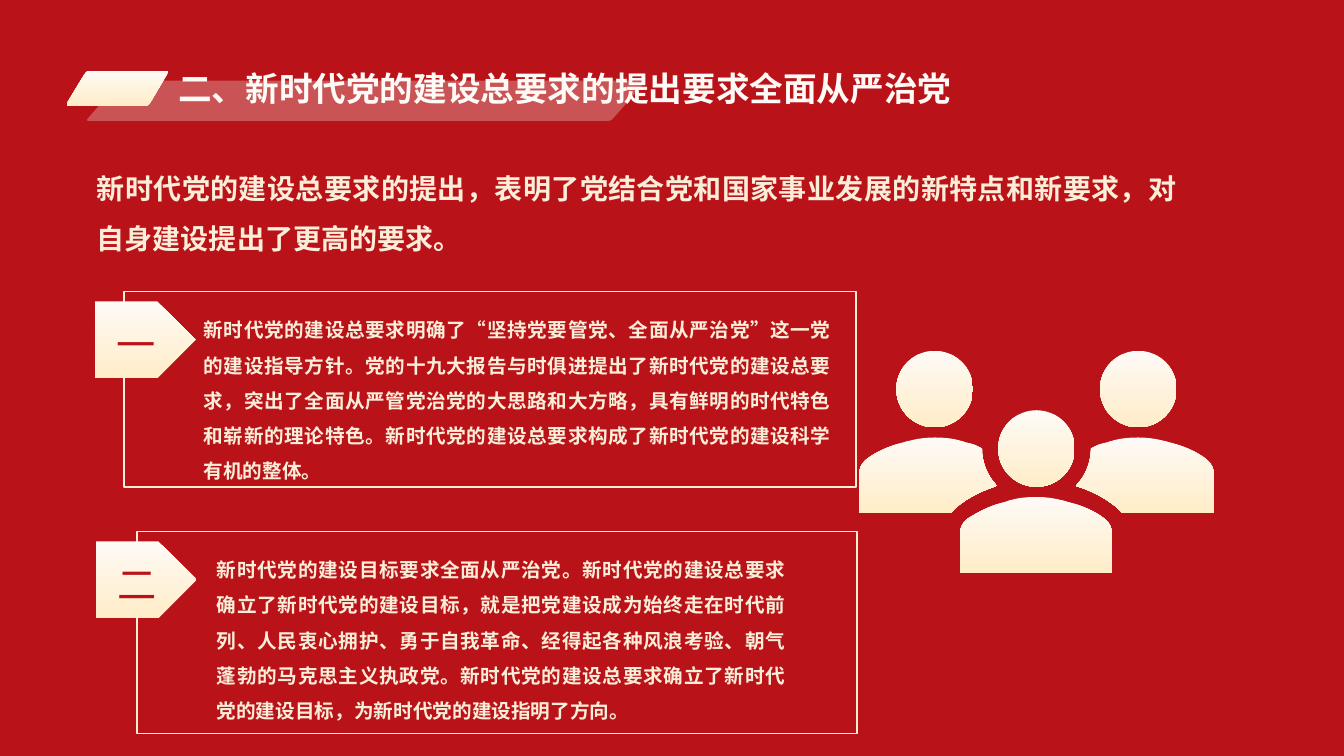
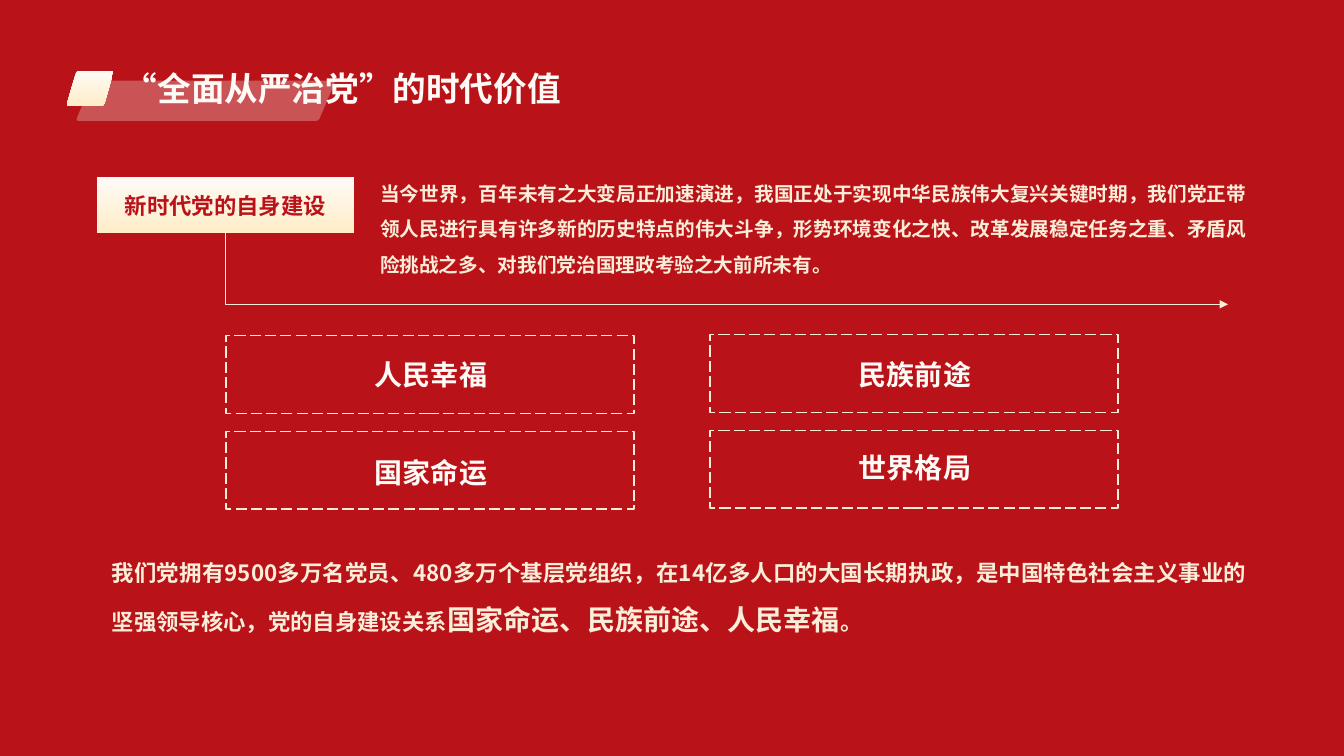
from dataclasses import dataclass

from lxml.etree import SubElement
from pptx import Presentation
from pptx.dml.color import RGBColor as Rgb
from pptx.enum.dml import MSO_LINE_DASH_STYLE as Dash
from pptx.enum.shapes import MSO_CONNECTOR as Connector, MSO_SHAPE as Preset
from pptx.enum.text import MSO_AUTO_SIZE as AutoSize, PP_ALIGN as Align
from pptx.oxml.ns import qn
from pptx.util import Inches, Pt


@dataclass(frozen=True)
class Theme:
    red: str = "BA1219"
    white: str = "FEFAF6"
    gold: str = "FFEDC8"
    cream: str = "FAEED8"
    veil: str = "EEECE1"
    font: str = "Noto Sans CJK SC"
    title: int = 24
    numeral: int = 28
    lead: int = 20
    label: int = 16
    body: int = 14
    leading: float = 1.5
    line: int = 1


THEME = Theme()

# The slide is a grid of one-inch columns and rows
COLUMNS, ROWS = 13.33, 7.5

# Content: a slanted tab is (left, width, slant)
GOAL = {
    "title": "二、新时代党的建设总要求的提出要求全面从严治党",
    "title_box": (1.67, 0.62, 10.07, 0.5),
    "veil_tab": (0.85, 5.56, 0.35),
    "gold_tab": (0.65, 1.03, 0.21),
    "lead": "新时代党的建设总要求的提出，表明了党结合党和国家事业发展的新特点和新要求，对自身建设提出了更高的要求。",
    "lead_box": (0.96, 1.53, 10.71, 1.01),
    "points": [
        {
            "numeral": "一",
            "frame": (1.23, 2.89, 7.26, 1.94),
            "tag_left": 0.94,
            "text_box": (2.02, 3.04, 6.22, 1.77),
            "text": "新时代党的建设总要求明确了“坚持党要管党、全面从严治党”这一党的建设指导方针。"
                    "党的十九大报告与时俱进提出了新时代党的建设总要求，突出了全面从严管党治党的大思路和大方略，"
                    "具有鲜明的时代特色和崭新的理论特色。新时代党的建设总要求构成了新时代党的建设科学有机的整体。",
        },
        {
            "numeral": "二",
            "frame": (1.36, 5.27, 7.14, 2.01),
            "tag_left": 0.95,
            "text_box": (2.15, 5.42, 5.64, 1.77),
            "text": "新时代党的建设目标要求全面从严治党。新时代党的建设总要求确立了新时代党的建设目标，"
                    "就是把党建设成为始终走在时代前列、人民衷心拥护、勇于自我革命、经得起各种风浪考验、"
                    "朝气蓬勃的马克思主义执政党。新时代党的建设总要求确立了新时代党的建设目标，"
                    "为新时代党的建设指明了方向。",
        },
    ],
}
VALUE = {
    "title": "“全面从严治党”的时代价值",
    "title_box": (1.13, 0.62, 6.31, 0.5),
    "veil_tab": (0.75, 2.58, 0.17),
    "gold_tab": (0.66, 0.47, 0.1),
    "label": "新时代党的自身建设",
    "label_box": (0.96, 1.76, 2.55, 0.55),
    "text": "当今世界，百年未有之大变局正加速演进，我国正处于实现中华民族伟大复兴关键时期，"
            "我们党正带领人民进行具有许多新的历史特点的伟大斗争，形势环境变化之快、改革发展稳定任务之重、"
            "矛盾风险挑战之多、对我们党治国理政考验之大前所未有。",
    "text_box": (3.77, 1.69, 8.6, 1.02),
    "arrow": (2.24, 2.31, 12.18, 3.02),
    # Each stake: text, drop of the text below the top of its box
    "stakes": [[("人民幸福", 0.17), ("民族前途", 0.18)],
               [("国家命运", 0.19), ("世界格局", 0.15)]],
    "closing": [
        ("我们党拥有9500多万名党员、480多万个基层党组织，在14亿多人口的大国长期执政，"
         "是中国特色社会主义事业的坚强领导核心，党的自身建设关系", THEME.label),
        ("国家命运、民族前途、人民幸福", THEME.lead),
        ("。", THEME.label),
    ],
    "closing_box": (1.11, 5.41, 11.26, 0.87),
}

# People icon: offsets from its centre column; two numbers are a corner, six a curve
PEOPLE_CENTRE, PEOPLE_TOP, HEAD = 10.28, 3.48, 0.76
HEADS = [(-1.01, 0), (1.01, 0), (0, 0.59)]
FRONT_BUST = [
    (0.75, 2.2), (0.75, 1.82), (0.75, 1.77, 0.73, 1.71, 0.68, 1.67),
    (0.58, 1.59, 0.44, 1.53, 0.31, 1.5), (0.22, 1.47, 0.11, 1.45, 0, 1.45),
    (-0.1, 1.45, -0.21, 1.46, -0.31, 1.5), (-0.45, 1.53, -0.58, 1.6, -0.69, 1.67),
    (-0.74, 1.71, -0.76, 1.77, -0.76, 1.82), (-0.76, 2.2),
]
SIDE_BUST = [
    (1.69, 1.08), (1.59, 1, 1.45, 0.94, 1.32, 0.91), (1.23, 0.88, 1.12, 0.86, 1.01, 0.86),
    (0.91, 0.86, 0.8, 0.87, 0.7, 0.91), (0.64, 0.92, 0.59, 0.94, 0.54, 0.97),
    (0.54, 1.12, 0.48, 1.25, 0.39, 1.34), (0.55, 1.39, 0.68, 1.46, 0.78, 1.54),
    (0.8, 1.56, 0.83, 1.58, 0.85, 1.61), (1.76, 1.61), (1.76, 1.23),
    (1.76, 1.18, 1.74, 1.12, 1.69, 1.08),
]


def color(value):
    return Rgb.from_string(value)


def paint_plain(shape, tone):
    shape.shadow.inherit = False
    shape.line.fill.background()
    shape.fill.solid()
    shape.fill.fore_color.rgb = color(tone)


def paint_gold(shape):
    shape.shadow.inherit = False
    shape.line.fill.background()
    shape.fill.gradient()
    shape.fill.gradient_angle = 270
    for stop, tone in zip(shape.fill.gradient_stops, (THEME.white, THEME.gold)):
        stop.color.rgb = color(tone)


def paint_frame(shape, dash=None):
    shape.shadow.inherit = False
    shape.fill.background()
    shape.line.color.rgb = color(THEME.cream)
    shape.line.width = Pt(THEME.line)
    if dash:
        shape.line.dash_style = dash


def add_preset(slide, preset, box):
    return slide.shapes.add_shape(preset, *map(Inches, box))


def write(shape, runs, size, tone, bold=True, align=Align.JUSTIFY, leading=None, inset=True):
    """Fill a shape with one paragraph; runs is a string or (text, size) pairs."""
    frame = shape.text_frame
    frame.word_wrap = True
    if not inset:
        frame.margin_left = frame.margin_right = frame.margin_top = frame.margin_bottom = 0
    paragraph = frame.paragraphs[0]
    paragraph.alignment = align
    if leading:
        paragraph.line_spacing = leading
    font = paragraph.font
    font.size, font.bold, font.name = Pt(size), bold, THEME.font
    font.color.rgb = color(tone)
    SubElement(font._element, qn("a:ea")).set("typeface", THEME.font)
    if isinstance(runs, str):
        paragraph.add_run().text = runs
        return
    for text, run_size in runs:
        run = paragraph.add_run()
        run.text = text
        run.font.size = Pt(run_size)


def add_text(slide, box, runs, size, tone=THEME.cream, **style):
    text_box = slide.shapes.add_textbox(*map(Inches, box))
    write(text_box, runs, size, tone, **style)
    text_box.text_frame.auto_size = AutoSize.SHAPE_TO_FIT_TEXT
    return text_box


def add_body(slide, box, runs, size):
    add_text(slide, box, runs, size, leading=THEME.leading, inset=False)


def add_outline(slide, segments):
    """Draw a closed outline of corners and cubic curves."""
    points = [(Inches(segment[i]), Inches(segment[i + 1]))
              for segment in segments for i in range(0, len(segment), 2)]
    builder = slide.shapes.build_freeform(*points[0])
    builder.add_line_segments(points[1:], close=True)
    shape = builder.convert_to_shape()
    # Join the three lines of each curve into one cubic segment
    lines = iter(list(shape.element.spPr.iter(qn("a:lnTo"))))
    for segment in segments[1:]:
        line = next(lines)
        if len(segment) == 6:
            line.tag = qn("a:cubicBezTo")
            for _ in range(2):
                extra = next(lines)
                line.append(extra[0])
                extra.getparent().remove(extra)
    return shape


def add_tab(slide, tab, top, bottom, radius=0.06):
    """Slanted tab with rounded corners."""
    left, width, slant = tab
    right = left + width
    corners = [(left, bottom), (left + slant, top), (right, top), (right - slant, bottom)]

    def toward(start, end):
        length = ((end[0] - start[0]) ** 2 + (end[1] - start[1]) ** 2) ** 0.5
        return tuple(a + (b - a) * radius / length for a, b in zip(start, end))

    segments = []
    for index, corner in enumerate(corners):
        segments.append(toward(corner, corners[index - 1]))
        segments.append((*corner, *corner, *toward(corner, corners[(index + 1) % 4])))
    return add_outline(slide, segments)


def add_heading(slide, content):
    veil = add_tab(slide, content["veil_tab"], 0.8, 1.2)
    paint_plain(veil, THEME.veil)
    tint = veil.element.spPr.find(".//" + qn("a:srgbClr"))
    SubElement(tint, qn("a:alpha")).set("val", "30000")
    paint_gold(add_tab(slide, content["gold_tab"], 0.7, 1.05))
    add_text(slide, content["title_box"], content["title"], THEME.title, THEME.white)


def add_point(slide, point):
    top, tag_left = point["frame"][1], point["tag_left"]
    paint_frame(add_preset(slide, Preset.RECTANGLE, point["frame"]))
    add_body(slide, point["text_box"], point["text"], THEME.body)
    paint_gold(add_preset(slide, Preset.PENTAGON, (tag_left, top + 0.1, 1, 0.76)))
    add_text(slide, (tag_left + 0.12, top + 0.19, 0.56, 0.62), point["numeral"],
             THEME.numeral, THEME.red, bold=False, align=Align.CENTER, leading=1.1)


def add_people(slide):
    for offset, drop in HEADS:
        box = (PEOPLE_CENTRE + offset - HEAD / 2, PEOPLE_TOP + drop, HEAD, HEAD)
        paint_gold(add_preset(slide, Preset.OVAL, box))
    for bust, side in ((FRONT_BUST, 1), (SIDE_BUST, 1), (SIDE_BUST, -1)):
        segments = [tuple(PEOPLE_TOP + value if index % 2 else PEOPLE_CENTRE + side * value
                          for index, value in enumerate(segment)) for segment in bust]
        paint_gold(add_outline(slide, segments))


def add_corner_arrow(slide, start_x, start_y, end_x, end_y):
    """Elbow that runs down, then right: a one-bend connector turned by 270 degrees."""
    width, height = end_y - start_y, end_x - start_x
    left, top = (start_x + end_x - width) / 2, (start_y + end_y - height) / 2
    arrow = slide.shapes.add_connector(
        Connector.ELBOW, *map(Inches, (left, top, left + width, top + height)))
    arrow.line.color.rgb = color(THEME.cream)
    arrow.line.width = Pt(THEME.line)
    properties = arrow.element.spPr
    properties.find(qn("a:prstGeom")).set("prst", "bentConnector2")
    transform = properties.find(qn("a:xfrm"))
    transform.set("rot", str(270 * 60000))
    transform.set("flipH", "1")
    SubElement(properties.find(qn("a:ln")), qn("a:tailEnd")).set("type", "triangle")
    SubElement(properties, qn("a:effectLst"))


def build_goal(slide):
    add_heading(slide, GOAL)
    add_body(slide, GOAL["lead_box"], GOAL["lead"], THEME.lead)
    for point in GOAL["points"]:
        add_point(slide, point)
    add_people(slide)


def build_value(slide):
    add_heading(slide, VALUE)
    add_body(slide, VALUE["text_box"], VALUE["text"], THEME.body)
    label = add_preset(slide, Preset.RECTANGLE, VALUE["label_box"])
    paint_gold(label)
    write(label, VALUE["label"], THEME.label, THEME.red, align=Align.CENTER)
    add_corner_arrow(slide, *VALUE["arrow"])
    # Two by two grid of dashed boxes
    for row, stakes in enumerate(VALUE["stakes"]):
        for column, (stake, drop) in enumerate(stakes):
            left, top = 2.24 + 4.8 * column, 3.33 + 0.95 * row - 0.01 * column
            paint_frame(add_preset(slide, Preset.RECTANGLE, (left, top, 4.05, 0.77)),
                        Dash.LONG_DASH)
            text_box = add_text(slide, (left + 1.38, top + drop, 1.32, 0.44), stake,
                                THEME.lead, THEME.white, align=Align.LEFT)
            text_box.text_frame.word_wrap = False
    add_body(slide, VALUE["closing_box"], VALUE["closing"], THEME.label)


def add_backdrop(presentation, slide):
    """Red sheet on the slide master, behind every slide."""
    backdrop = add_preset(slide, Preset.RECTANGLE, (0, 0, COLUMNS, ROWS))
    paint_plain(backdrop, THEME.red)
    presentation.slide_master.shapes.element.insert(2, backdrop.element)


def main():
    presentation = Presentation()
    presentation.slide_width, presentation.slide_height = Inches(COLUMNS), Inches(ROWS)
    slides = [presentation.slides.add_slide(presentation.slide_layouts[6]) for _ in range(2)]
    add_backdrop(presentation, slides[0])
    for build, slide in zip((build_goal, build_value), slides):
        build(slide)
    presentation.save("out.pptx")


if __name__ == "__main__":
    main()
